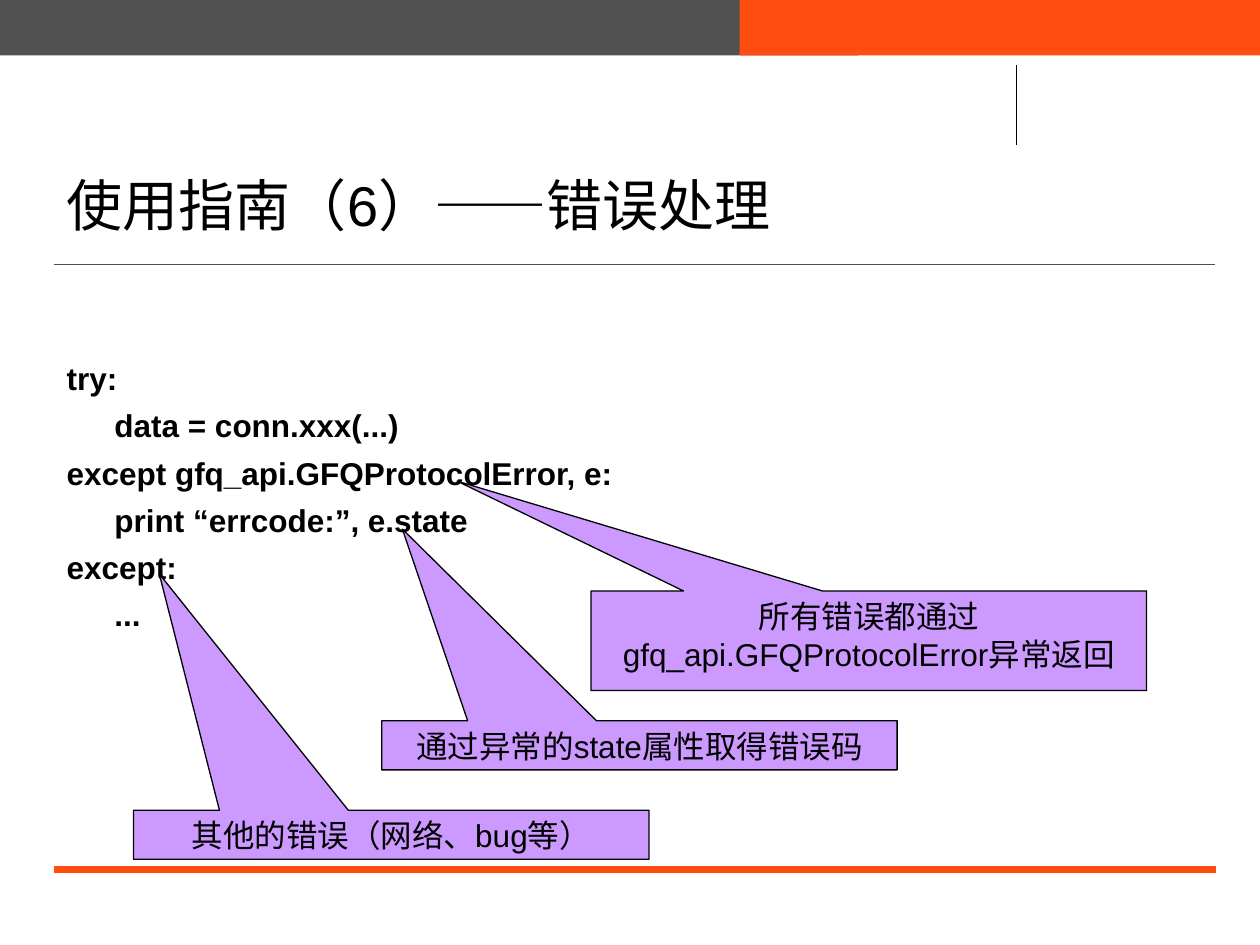
from pptx import Presentation
from pptx.dml.color import RGBColor
from pptx.enum.shapes import MSO_CONNECTOR, MSO_SHAPE
from pptx.enum.text import MSO_ANCHOR, PP_ALIGN
from pptx.oxml.ns import qn
from pptx.util import Pt
from lxml import etree

PX = 9144  # EMU in one px, at 100 px to the inch
FONT = "Arial"
COLORS = {
    "gray": "515151",
    "orange": "FE4D11",
    "lilac": "CC99FF",
    "black": "000000",
}
# Indent level and text of each line of code
CODE = [
    (0, "try:"),
    (1, "data = conn.xxx(...)"),
    (0, "except gfq_api.GFQProtocolError, e:"),
    (1, "print “errcode:”, e.state"),
    (0, "except:"),
    (1, "..."),
]
# Box, pointer tip and text of each callout
NOTES = [
    ((469, 469, 441, 79), (-0.741, -1.604),
     "所有错误都通过gfq_api.GFQProtocolError异常返回"),
    ((303, 572, 409, 39), (-0.46, -4.399), "通过异常的state属性取得错误码"),
    ((106, 643, 409, 39), (-0.45, -5.306), "其他的错误（网络、bug等）"),
]


def px(*nums):
    return [n * PX for n in nums]


def color(name):
    return RGBColor.from_string(COLORS[name])


def style(para, size, bold=False, align=PP_ALIGN.LEFT):
    para.alignment = align
    for run in para.runs:
        run.font.name = FONT
        run.font.size = Pt(size)
        run.font.bold = bold
        run.font.color.rgb = color("black")


def frame(shape, anchor, top=5):
    text = shape.text_frame
    text.word_wrap = True
    text.vertical_anchor = anchor
    text.margin_left, text.margin_top = px(10, top)
    text.margin_right, text.margin_bottom = px(10, 5)
    return text


def block(slide, kind, box, fill):
    shape = slide.shapes.add_shape(kind, *px(*box))
    shape.shadow.inherit = False
    shape.fill.solid()
    shape.fill.fore_color.rgb = color(fill)
    shape.line.fill.background()
    return shape


def rule(slide, ends, name, width):
    line = slide.shapes.add_connector(MSO_CONNECTOR.STRAIGHT, *px(*ends))
    line.line.color.rgb = color(name)
    line.line.width = Pt(width)
    etree.SubElement(line._element.spPr, qn("a:effectLst"))


def decor(slide):
    # Top bands
    block(slide, MSO_SHAPE.RECTANGLE, (0, 0, 681, 44), "gray")
    block(slide, MSO_SHAPE.RECTANGLE, (587, 0, 413, 44), "orange")
    # Rules
    rule(slide, (43, 210, 964, 210), "gray", 1)
    rule(slide, (43, 690, 965, 690), "orange", 4)
    rule(slide, (807, 52, 807, 115), "black", 0.75)


def title(slide, box, words):
    shape = slide.shapes.title
    shape.left, shape.top, shape.width, shape.height = px(*box)
    text = frame(shape, MSO_ANCHOR.MIDDLE)
    text.text = words
    style(text.paragraphs[0], 32)


def code(slide, box, lines):
    text = frame(slide.shapes.add_textbox(*px(*box)), MSO_ANCHOR.TOP, 44)
    for i, (level, words) in enumerate(lines):
        para = text.add_paragraph() if i else text.paragraphs[0]
        para.text = words
        para.space_before = Pt(5.4 if i else 0)
        para._p.get_or_add_pPr().set("marL", str(level * 38 * PX))
        style(para, 18, bold=True)


def note(slide, box, tip, words):
    shape = block(slide, MSO_SHAPE.RECTANGULAR_CALLOUT, box, "lilac")
    shape.line.color.rgb = color("black")
    shape.line.width = Pt(0.75)
    shape.adjustments[0], shape.adjustments[1] = tip
    text = frame(shape, MSO_ANCHOR.TOP)
    text.text = words
    style(text.paragraphs[0], 18, align=PP_ALIGN.CENTER)


def main():
    deck = Presentation()
    deck.slide_width, deck.slide_height = px(1000, 750)
    slide = deck.slides.add_slide(deck.slide_layouts[5])
    decor(slide)
    title(slide, (43, 130, 900, 64), "使用指南（6）——错误处理")
    code(slide, (43, 241, 921, 373), CODE)
    for box, tip, words in NOTES:
        note(slide, box, tip, words)
    deck.save("out.pptx")


if __name__ == "__main__":
    main()
